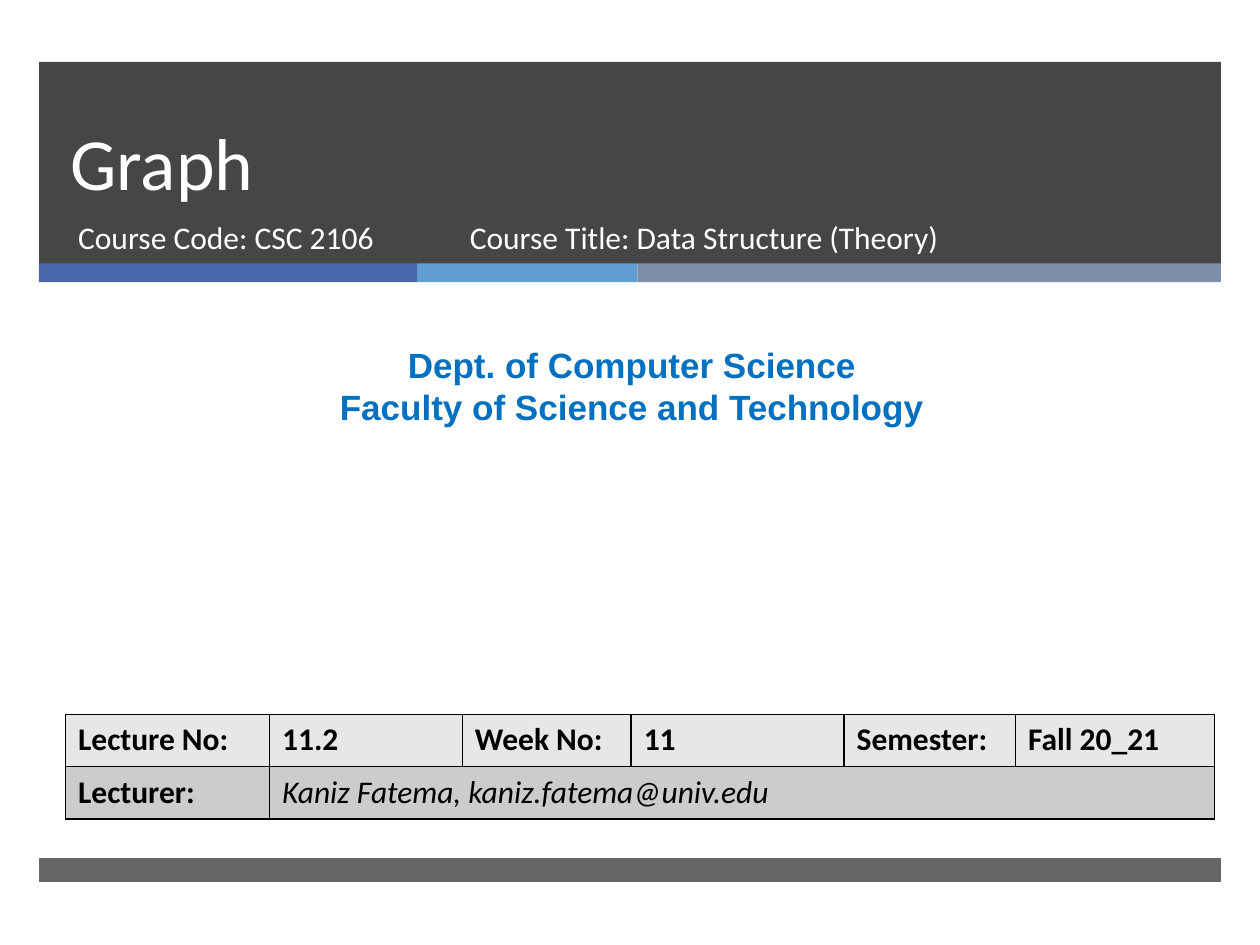
from dataclasses import dataclass

from pptx import Presentation
from pptx.dml.color import RGBColor
from pptx.enum.shapes import MSO_SHAPE
from pptx.enum.text import MSO_ANCHOR, MSO_AUTO_SIZE, PP_ALIGN
from pptx.oxml import parse_xml
from pptx.oxml.ns import nsdecls, qn
from pptx.oxml.xmlchemy import OxmlElement
from pptx.util import Inches, Pt


@dataclass(frozen=True)
class Theme:
    font: str = "Calibri"
    department_font: str = "Arial"
    dark: str = "262626"
    stripes: tuple = ("4A66AC", "629DD1", "7F8FA9")
    white: str = "FFFFFF"
    black: str = "000000"
    department: str = "0070C0"
    rows: tuple = ("E7E7E7", "CCCCCC")
    title_size: int = 42
    department_size: int = 20
    text_size: int = 18


theme = Theme()

deck = Presentation()
deck.slide_width, deck.slide_height = Inches(10), Inches(7.5)
page = deck.slides.add_slide(deck.slide_layouts[0])


def add_bar(left, top, width, height, color, opacity=100):
    bar = page.shapes.add_shape(MSO_SHAPE.RECTANGLE, Inches(left), Inches(top),
                                Inches(width), Inches(height))
    bar.shadow.inherit = False
    bar.line.fill.background()
    bar.fill.solid()
    bar.fill.fore_color.rgb = RGBColor.from_string(color)
    if opacity < 100:
        alpha = OxmlElement("a:alpha")
        alpha.set("val", str(opacity * 1000))
        bar.element.spPr.find(".//" + qn("a:srgbClr")).append(alpha)


def write(frame, lines, size, color, font=theme.font, bold=False, italic=False,
          align=PP_ALIGN.LEFT):
    frame.text = "\n".join(lines)
    for para in frame.paragraphs:
        para.alignment = align
        para.space_before = Pt(0)
        para.font.name = font
        para.font.size = Pt(size)
        para.font.bold = bold
        para.font.italic = italic
        para.font.color.rgb = RGBColor.from_string(color)


# Header band, coloured stripes and footer band
margin, band_width = 0.31, 9.38
add_bar(margin, 0.49, band_width, 1.61, theme.dark, opacity=85)
left = margin
for width, color in zip((3, 1.75, 4.63), theme.stripes):
    add_bar(left, 2.09, width, 0.15, color)
    left += width
add_bar(margin, 6.81, band_width, 0.19, theme.dark, opacity=70)

# Title, course code, course title and department
title, course_code = page.shapes.title, page.placeholders[1]
course_title = page.shapes.add_textbox(0, 0, 0, 0)
department = page.shapes.add_textbox(0, 0, 0, 0)
for box, place in (
    (title, (0.46, 0.49, 8.54, 1.19)),
    (course_code, (0.52, 1.68, 3.05, 0.53)),
    (course_title, (3.63, 1.68, 4.55, 0.53)),
    (department, (0.08, 2.68, 9.87, 0.77)),
):
    box.left, box.top, box.width, box.height = map(Inches, place)
    box.text_frame.word_wrap = True
    box.text_frame.auto_size = MSO_AUTO_SIZE.NONE
    box.text_frame.vertical_anchor = MSO_ANCHOR.TOP
    page.shapes.element.append(box.element)  # in front of the bands

write(title.text_frame, ["Graph"], theme.title_size, theme.white)
title.text_frame.vertical_anchor = MSO_ANCHOR.BOTTOM
title.text_frame.paragraphs[0].line_spacing = Pt(46)
write(course_code.text_frame, ["Course Code: CSC 2106"], theme.text_size, theme.white)
write(course_title.text_frame, ["Course Title: Data Structure (Theory)"],
      theme.text_size, theme.white)
write(department.text_frame,
      ["Dept. of Computer Science", "Faculty of Science and Technology"],
      theme.department_size, theme.department, font=theme.department_font,
      bold=True, align=PP_ALIGN.CENTER)

# Lecture table
lecture_rows = (
    ("Lecture No:", "11.2", "Week No:", "11", "Semester:", "Fall 20_21"),
    ("Lecturer:", "Kaniz Fatema, kaniz.fatema@univ.edu", "", "", "", ""),
)
column_widths = (1.62, 1.53, 1.34, 1.69, 1.36, 1.58)
table = page.shapes.add_table(2, 6, Inches(0.52), Inches(5.67),
                              Inches(sum(column_widths)), Inches(0.83)).table
for column, width in zip(table.columns, column_widths):
    column.width = Inches(width)
table.cell(1, 1).merge(table.cell(1, 5))

for row, texts in enumerate(lecture_rows):
    for col, text in enumerate(texts):
        cell = table.cell(row, col)
        for side in ("lnL", "lnR", "lnT", "lnB"):
            cell._tc.get_or_add_tcPr().append(parse_xml(
                f'<a:{side} {nsdecls("a")} w="12700"><a:solidFill>'
                f'<a:srgbClr val="{theme.black}"/></a:solidFill></a:{side}>'))
        cell.fill.solid()
        cell.fill.fore_color.rgb = RGBColor.from_string(theme.rows[row])
        if text:
            is_lecturer = cell.is_merge_origin
            write(cell.text_frame, [text], theme.text_size, theme.black,
                  bold=not is_lecturer, italic=is_lecturer)

deck.save("out.pptx")
